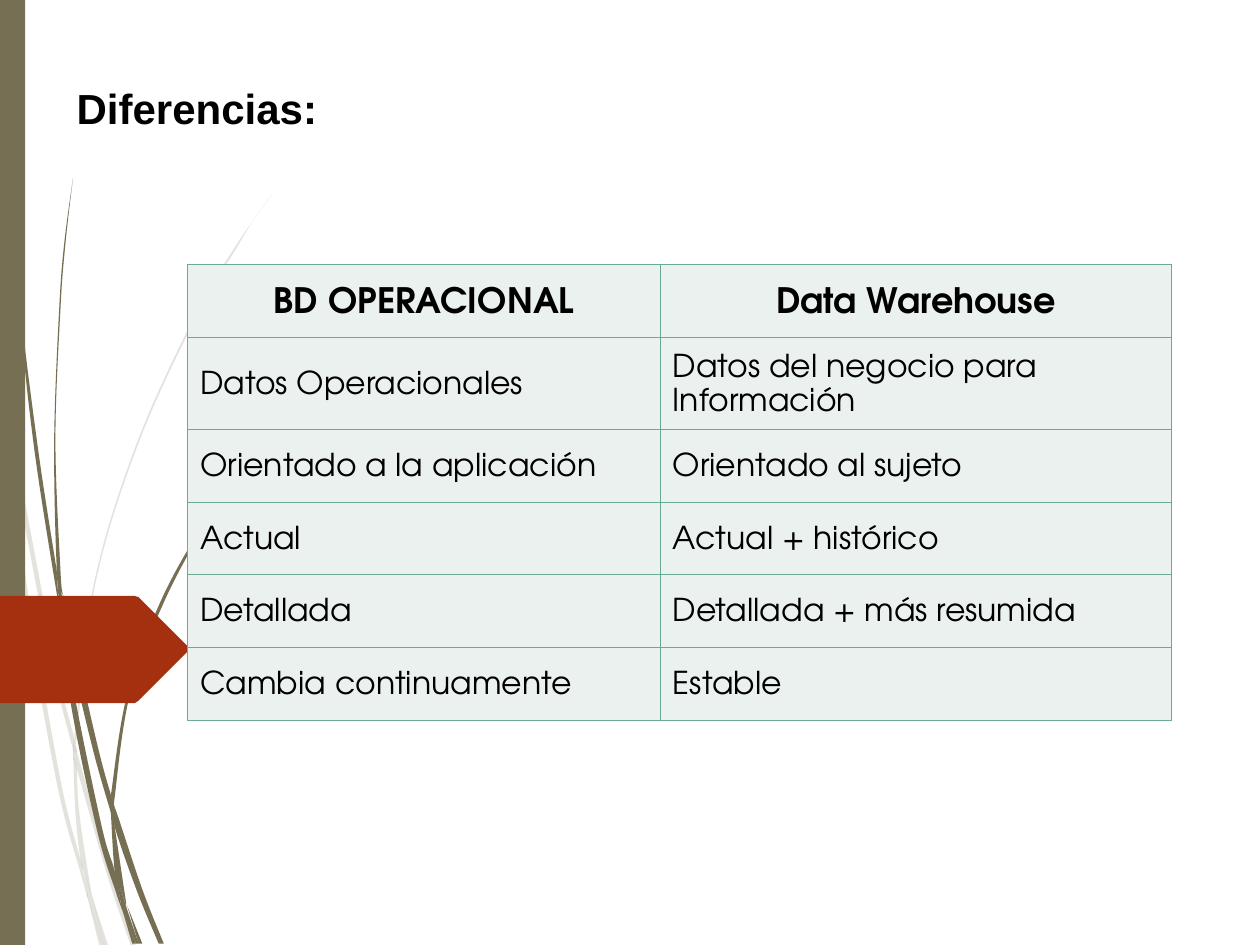
from itertools import product

from lxml.etree import SubElement
from pptx import Presentation
from pptx.dml.color import RGBColor
from pptx.enum.shapes import MSO_SHAPE
from pptx.enum.text import MSO_ANCHOR, MSO_AUTO_SIZE, PP_ALIGN
from pptx.oxml.ns import qn
from pptx.util import Inches, Pt

COLUMNS, ROWS = 1000, 750
CELL = Inches(10) // COLUMNS
OLIVE = RGBColor(0x76, 0x6F, 0x54)
RUST = RGBColor(0xA5, 0x30, 0x10)
MINT = RGBColor(0xEB, 0xF1, 0xEE)
GREEN = RGBColor(0x6A, 0xAC, 0x91)
BLACK = RGBColor(0, 0, 0)
BODY_FONT = "TeX Gyre Adventor"

PALE_BLADES = [
    ([(0, 282), (6, 322), (8, 350)], [(8, 350), (7, 344), (0, 299)]),
    ([(10, 345), (43, 520), (59, 586)], [(59, 599), (40, 522), (12, 376)]),
    ([(61, 596), (64, 607), (88, 692), (108, 751)], [(104, 751), (85, 694), (61, 610)]),
    ([(73, 711), (86, 751)], [(83, 751), (73, 711)]),
    ([(8, 350), (12, 376), (22, 469), (48, 619), (64, 683), (69, 707), (70, 714)],
     [(70, 714), (64, 693), (45, 621), (19, 470), (8, 350)]),
    ([(58, 599), (60, 646), (64, 683), (67, 692), (73, 711)],
     [(72, 706), (63, 646), (61, 610), (61, 608), (58, 599)]),
    ([(217, 153), (201, 175), (186, 197), (158, 244), (110, 348), (75, 461), (59, 584)],
     [(61, 596), (61, 584), (76, 462), (111, 349), (159, 245), (187, 198), (201, 175), (217, 153)]),
    ([(70, 714), (79, 751)], [(82, 751), (70, 714)]),
    ([(59, 586), (58, 599), (61, 608)], [(61, 610), (61, 596), (59, 586)]),
    ([(65, 683), (69, 707), (70, 714), (82, 751)], [(83, 751), (73, 711), (67, 692), (65, 683)]),
]
DARK_BLADES = [
    ([(2, 0), (3, 48), (5, 110), (14, 233), (27, 355), (46, 477), (47, 481)],
     [(47, 481), (45, 457), (45, 453), (30, 355), (15, 232), (6, 109), (4, 48), (3, 0)]),
    ([(50, 472), (53, 505), (73, 592), (88, 645)], [(88, 633), (88, 631), (77, 590), (50, 472)]),
    ([(91, 641), (91, 656), (109, 708), (126, 749)], [(130, 749), (113, 706), (94, 649), (91, 641)]),
    ([(47, 477), (56, 557), (77, 659), (92, 708), (97, 722)],
     [(97, 722), (96, 717), (91, 691), (81, 657), (60, 556), (53, 505), (47, 477)]),
    ([(58, 141), (51, 193), (47, 245), (43, 349), (45, 449), (49, 471)],
     [(50, 472), (48, 453), (44, 349), (48, 245), (52, 193), (58, 141)]),
    ([(101, 719), (113, 749)], [(110, 749), (101, 719)]),
    ([(45, 449), (45, 453), (47, 477), (53, 505)], [(50, 472), (49, 472), (45, 449)]),
    ([(216, 344), (203, 358), (191, 373), (168, 405), (129, 474), (101, 551), (88, 631)],
     [(91, 641), (91, 633), (103, 552), (131, 476), (169, 406), (191, 374), (203, 359), (216, 344)]),
    ([(97, 722), (105, 749)], [(108, 749), (97, 722)]),
    ([(88, 645), (91, 691), (96, 706), (100, 719)], [(100, 716), (91, 656), (90, 651), (88, 645)]),
    ([(88, 631), (88, 645), (90, 651)], [(91, 656), (91, 641), (88, 631)]),
    ([(91, 691), (96, 717), (97, 722), (108, 749)], [(110, 749), (100, 719), (96, 706), (91, 691)]),
]
ARROW = [(-3, 473), (107, 473), (110, 474), (149, 513), (149, 517), (110, 556), (107, 558), (-3, 558)]
COMPARISON = [
    ("BD OPERACIONAL", "Data Warehouse"),
    ("Datos Operacionales", "Datos del negocio para Información"),
    ("Orientado a la aplicación", "Orientado al sujeto"),
    ("Actual", "Actual + histórico"),
    ("Detallada", "Detallada + más resumida"),
    ("Cambia continuamente", "Estable"),
]


def cells(*counts):
    """Convert counts of grid cells to slide lengths."""
    return [round(count * CELL) for count in counts]


def paint(s, color, alpha=None):
    """Give a shape a plain fill without outline or shadow."""
    s.shadow.inherit = False
    s.fill.solid()
    s.fill.fore_color.rgb = color
    s.line.fill.background()
    if alpha:
        rgb = s.fill._xPr.find(qn("a:solidFill")).find(qn("a:srgbClr"))
        SubElement(rgb, qn("a:alpha"), val=str(alpha * 1000))


def add_outline(shapes, points, color, alpha=None):
    """Add a filled closed outline and return it."""
    nodes = [cells(*point) for point in points]
    builder = shapes.build_freeform(*nodes[0], scale=1.0)
    builder.add_line_segments(nodes[1:], close=True)
    s = builder.convert_to_shape()
    paint(s, color, alpha)
    return s


def bend(s, corners):
    """Turn straight segments into Bézier curves that are smooth between corners."""
    nodes = [(int(pt.get("x")), int(pt.get("y"))) for pt in s._element.iter(qn("a:pt"))]
    for k, segment in enumerate(list(s._element.iter(qn("a:lnTo")))):
        if k + 1 >= len(nodes):
            break
        start, end = nodes[k], nodes[k + 1]
        before = start if k in corners else nodes[k - 1]
        after = end if k + 1 in corners else nodes[k + 2]
        first = [b + (c - a) / 6 for a, b, c in zip(before, start, end)]
        second = [c - (d - b) / 6 for b, c, d in zip(start, end, after)]
        curve = segment.makeelement(qn("a:cubicBezTo"))
        for x, y in (first, second, end):
            SubElement(curve, qn("a:pt"), x=str(round(x)), y=str(round(y)))
        segment.getparent().replace(segment, curve)


def add_grass(slide, blades, alpha=None):
    """Draw a group of blades, each bounded by two smooth edges."""
    group = slide.shapes.add_group_shape()
    for down, up in blades:
        shared = down[-1] == up[0]
        points = down + up[shared:]
        s = add_outline(group.shapes, points, OLIVE, alpha)
        bend(s, {0, len(down) - 1, len(down) - shared, len(points) - 1})


def write(tf, text, font=BODY_FONT, size=18, bold=False, align=PP_ALIGN.LEFT,
          spacing=None, after=None):
    """Write one formatted paragraph into a text frame."""
    p = tf.paragraphs[0]
    p.alignment, p.line_spacing = align, spacing
    if after:
        p.space_after = Pt(after)
    r = p.add_run()
    r.text = text
    r.font.name, r.font.size, r.font.bold = font, Pt(size), bold
    r.font.color.rgb = BLACK


def add_borders(cell):
    """Draw a thin green line on all sides of a table cell."""
    properties = cell._tc.get_or_add_tcPr()
    for index, side in enumerate(("lnL", "lnR", "lnT", "lnB")):
        line = properties.makeelement(qn(f"a:{side}"), {"w": str(Pt(0.45))})
        fill = SubElement(line, qn("a:solidFill"))
        SubElement(fill, qn("a:srgbClr"), val=str(GREEN))
        properties.insert(index, line)


def add_comparison(slide, left, top, widths, heights):
    """Add the two-column table with its heading row."""
    box = cells(left, top, sum(widths), sum(heights))
    table = slide.shapes.add_table(len(heights), len(widths), *box).table
    table.horz_banding = False
    for column, width in zip(table.columns, cells(*widths)):
        column.width = width
    for row, height in zip(table.rows, cells(*heights)):
        row.height = height
    for i, j in product(range(len(heights)), range(len(widths))):
        cell = table.cell(i, j)
        cell.vertical_anchor = MSO_ANCHOR.MIDDLE
        cell.fill.solid()
        cell.fill.fore_color.rgb = MINT
        add_borders(cell)
        heading = i == 0
        write(cell.text_frame, COMPARISON[i][j], size=20 if heading else 18, bold=heading,
              align=PP_ALIGN.CENTER if heading else PP_ALIGN.LEFT, spacing=1.15, after=10)


def add_title(slide, text, box):
    """Add the slide heading."""
    tf = slide.shapes.add_textbox(*cells(*box)).text_frame
    tf.word_wrap = True
    tf.auto_size = MSO_AUTO_SIZE.SHAPE_TO_FIT_TEXT
    write(tf, text, font="Arial", size=24, bold=True)


def main():
    """Build and save the slide."""
    prs = Presentation()
    prs.slide_width, prs.slide_height = cells(COLUMNS, ROWS)
    slide = prs.slides.add_slide(prs.slide_layouts[6])
    add_grass(slide, PALE_BLADES, alpha=20)
    add_grass(slide, DARK_BLADES)
    bar = slide.shapes.add_shape(MSO_SHAPE.RECTANGLE, *cells(0, 0, 20, ROWS))
    paint(bar, OLIVE)
    add_outline(slide.shapes, ARROW, RUST)
    add_comparison(slide, 149, 210, (375, 406), (57.7, 73.2, 57.7, 57.7, 57.7, 57.7))
    add_title(slide, "Diferencias:", (51, 60.4, 488, 50))
    prs.save("out.pptx")


if __name__ == "__main__":
    main()
